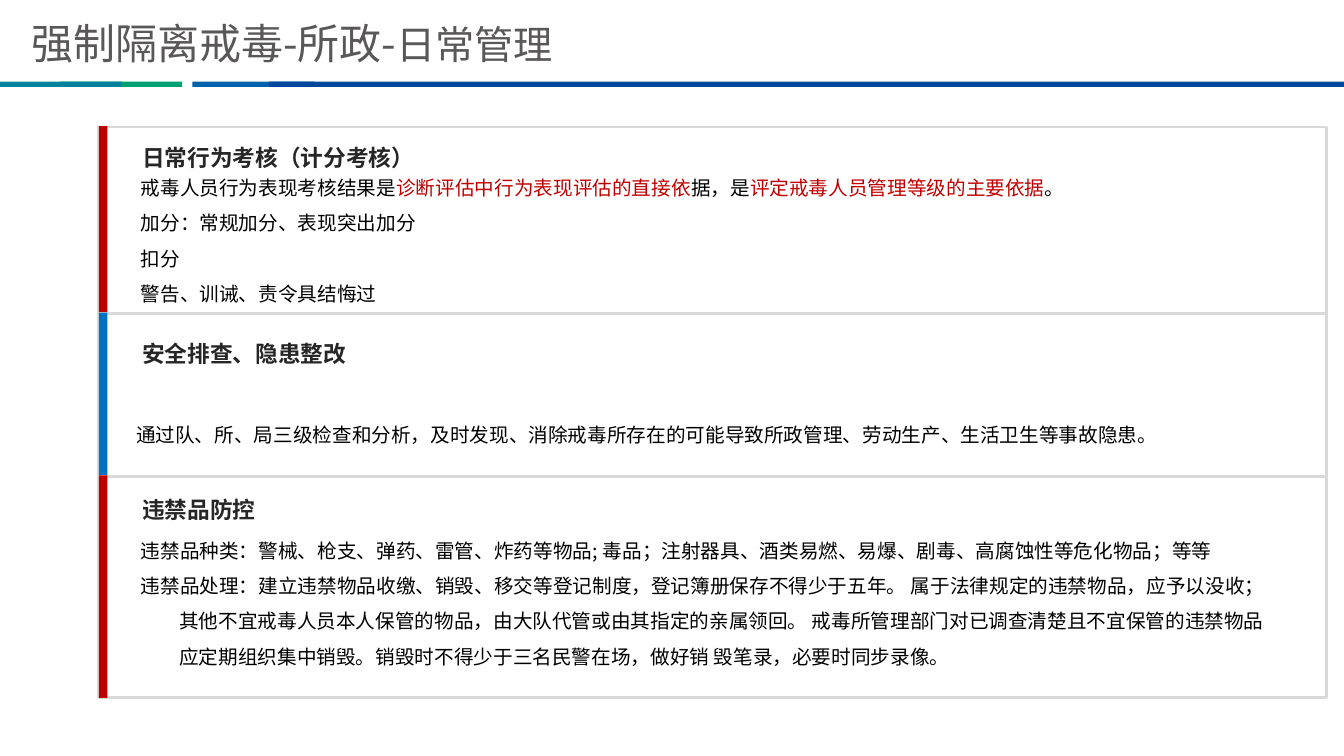
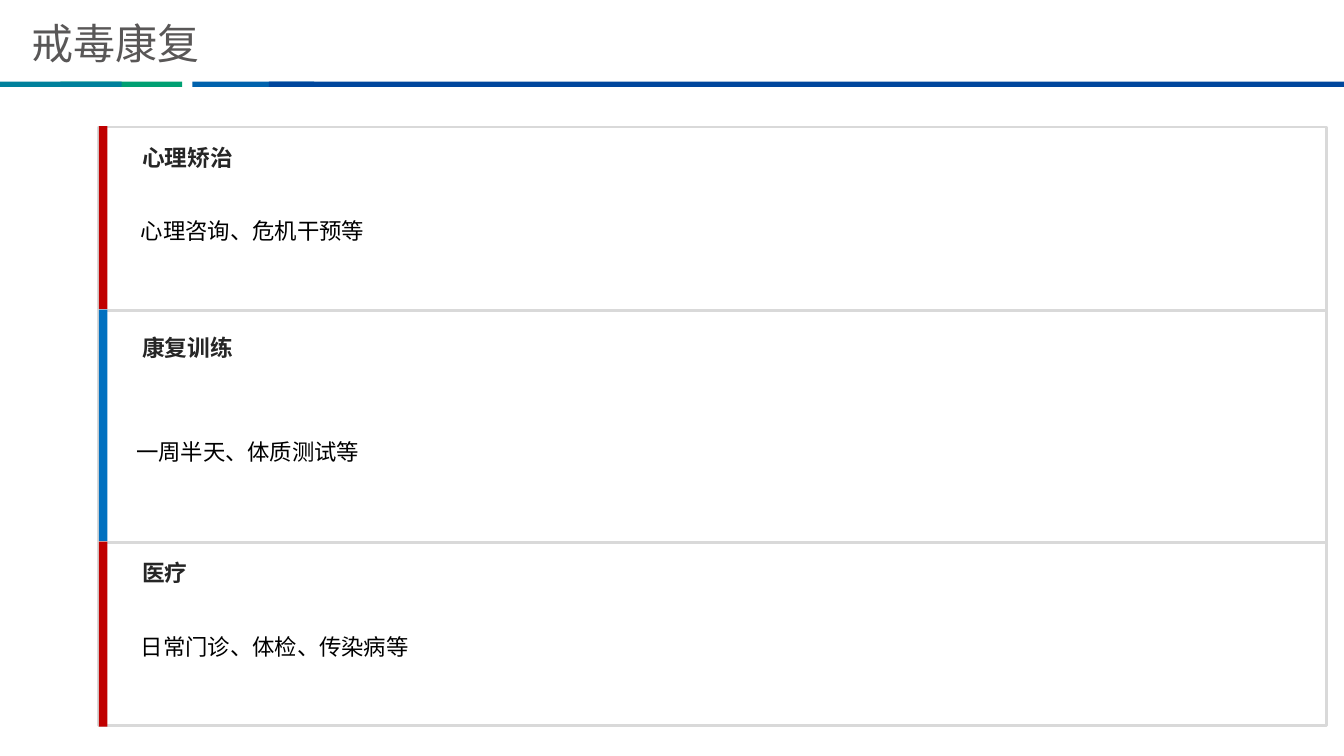
"""Build two slides on daily management and rehabilitation in compulsory isolation."""
from dataclasses import dataclass
from itertools import cycle

from lxml.etree import SubElement
from pptx import Presentation
from pptx.dml.color import RGBColor
from pptx.enum.shapes import MSO_SHAPE, PP_PLACEHOLDER
from pptx.enum.text import MSO_ANCHOR, MSO_AUTO_SIZE, PP_ALIGN
from pptx.oxml.ns import qn
from pptx.shapes.autoshape import Shape
from pptx.slide import Slide, SlideLayout
from pptx.util import Cm, Pt


@dataclass(frozen=True)
class Theme:
    """Colours, fonts and type sizes of the deck."""
    title: str = "595757"
    heading: str = "262626"
    body: str = "000000"
    red: str = "C00000"
    blue: str = "0070C0"
    panel: str = "FFFFFF"
    border: str = "D9D9D9"
    cjk_font: str = "Noto Sans CJK SC"
    heading_font: str = "Arial"
    title_size: float = 30
    subtitle_size: float = 28
    heading_size: float = 16.2
    body_size: float = 14
    large_body_size: float = 16


THEME = Theme()


@dataclass(frozen=True)
class Span:
    """Stretch of text with its own colour or size."""
    text: str
    color: str
    size: float


@dataclass(frozen=True)
class Band:
    """Coloured piece of the rule below the title."""
    left: float
    width: float
    color: str


@dataclass(frozen=True)
class SectionStyle:
    """Accent colour and body column of a section, in centimetres."""
    accent: str
    body_left: float
    body_width: float


@dataclass(frozen=True)
class Section:
    """Panel with a heading and a body; offsets count from the panel top."""
    heading: str
    body: list[list[Span]]
    height: float
    heading_offset: float
    body_offset: float
    body_height: float


@dataclass(frozen=True)
class Page:
    """Title and stacked sections of one slide."""
    title: list[Span]
    sections: list[Section]


BANDS = [
    Band(1.52, 3.07, "00A073"),
    Band(4.85, 3.07, "0062AD"),
    Band(6.78, 27.09, "00479D"),
    Band(0, 3.07, "00819C"),
]
BAND_TOP, BAND_HEIGHT = 2.06, 0.13
PANEL_LEFT, PANEL_TOP, PANEL_WIDTH = 2.49, 3.2, 30.94
ACCENT_WIDTH, ACCENT_RISE = 0.22, 0.02
HEADING_LEFT, HEADING_WIDTH, HEADING_HEIGHT = 3.33, 21.97, 1.02
HANGING_INDENT = 0.97
SECTION_STYLES = [
    SectionStyle(THEME.red, 3.3, 29.08),
    SectionStyle(THEME.blue, 3.18, 30.28),
]


def plain(text: str, size: float = THEME.body_size) -> list[Span]:
    """Return a body paragraph in one colour."""
    return [Span(text, THEME.body, size)]


def marked(*texts: str) -> list[Span]:
    """Return a body paragraph whose every second part is red."""
    colors = cycle([THEME.body, THEME.red])
    return [Span(text, color, THEME.body_size) for text, color in zip(texts, colors)]


def title_span(text: str, size: float = THEME.title_size) -> Span:
    """Return a title part."""
    return Span(text, THEME.title, size)


PAGES = [
    Page(
        [title_span("强制隔离戒毒-所政-"), title_span("日常管理", THEME.subtitle_size)],
        [
            Section("日常行为考核（计分考核）", [
                marked("戒毒人员行为表现考核结果是", "诊断评估中行为表现评估的直接依",
                       "据，是", "评定戒毒人员管理等级的主要依据", "。"),
                plain("加分：常规加分、表现突出加分"),
                plain("扣分"),
                plain("警告、训诫、责令具结悔过"),
            ], 4.7, 0.25, 1.5, 2.44),
            Section("安全排查、隐患整改", [
                plain("通过队、所、局三级检查和分析，及时发现、消除戒毒所存在的"
                      "可能导致所政管理、劳动生产、生活卫生等事故隐患。"),
            ], 4.1, 0.5, 1.45, 2.92),
            Section("违禁品防控", [
                plain("违禁品种类：警械、枪支、弹药、雷管、炸药等物品; 毒品；"
                      "注射器具、酒类易燃、易爆、剧毒、高腐蚀性等危化物品；等等"),
                plain("违禁品处理：建立违禁物品收缴、销毁、移交等登记制度，"
                      "登记簿册保存不得少于五年。 属于法律规定的违禁物品，应予以没收；"
                      "其他不宜戒毒人员本人保管的物品，由大队代管或由其指定的亲属领回。 "
                      "戒毒所管理部门对已调查清楚且不宜保管的违禁物品应定期组织集中销毁。"
                      "销毁时不得少于三名民警在场，做好销 毁笔录，必要时同步录像。"),
            ], 5.57, 0.33, 1.03, 4.06),
        ],
    ),
    Page(
        [title_span("戒毒康复")],
        [
            Section("心理矫治", [plain("心理咨询、危机干预等", THEME.large_body_size)],
                    4.62, 0.25, 1.27, 2.36),
            Section("康复训练", [plain("一周半天、体质测试等", THEME.large_body_size)],
                    5.85, 0.43, 1.45, 3.86),
            Section("医疗", [plain("日常门诊、体检、传染病等", THEME.large_body_size)],
                    4.62, 0.25, 1.27, 2.36),
        ],
    ),
]


def write_spans(paragraph, spans: list[Span], font_name: str, bold: bool = False) -> None:
    """Fill a paragraph with formatted runs."""
    for span in spans:
        run = paragraph.add_run()
        run.text = span.text
        run.font.size = Pt(span.size)
        run.font.bold = bold
        run.font.color.rgb = RGBColor.from_string(span.color)
        run.font.name = font_name
        east_asian = SubElement(run.font._element, qn("a:ea"))
        east_asian.set("typeface", THEME.cjk_font)


def add_block(slide: Slide, left: float, top: float, width: float, height: float,
              color: str) -> Shape:
    """Draw a flat rectangle without an outline."""
    block = slide.shapes.add_shape(
        MSO_SHAPE.RECTANGLE, Cm(left), Cm(top), Cm(width), Cm(height))
    block.shadow.inherit = False
    block.fill.solid()
    block.fill.fore_color.rgb = RGBColor.from_string(color)
    block.line.fill.background()
    return block


def add_text(slide: Slide, left: float, top: float, width: float, height: float):
    """Add a wrapping, vertically centred text box and return its frame."""
    frame = slide.shapes.add_textbox(Cm(left), Cm(top), Cm(width), Cm(height)).text_frame
    frame.word_wrap = True
    frame.vertical_anchor = MSO_ANCHOR.MIDDLE
    return frame


def add_section(slide: Slide, section: Section, style: SectionStyle, top: float) -> None:
    """Draw a panel with its heading, body and accent bar."""
    panel = add_block(slide, PANEL_LEFT, top, PANEL_WIDTH, section.height, THEME.panel)
    panel.line.color.rgb = RGBColor.from_string(THEME.border)
    panel.line.width = Pt(2)

    heading = add_text(slide, HEADING_LEFT, top + section.heading_offset,
                       HEADING_WIDTH, HEADING_HEIGHT)
    heading_span = Span(section.heading, THEME.heading, THEME.heading_size)
    write_spans(heading.paragraphs[0], [heading_span], THEME.heading_font, bold=True)

    body = add_text(slide, style.body_left, top + section.body_offset,
                    style.body_width, section.body_height)
    for index, spans in enumerate(section.body):
        paragraph = body.add_paragraph() if index else body.paragraphs[0]
        properties = paragraph._p.get_or_add_pPr()
        properties.set("marL", str(Cm(HANGING_INDENT)))
        properties.set("indent", str(-Cm(HANGING_INDENT)))
        paragraph.line_spacing = 1.5
        write_spans(paragraph, spans, THEME.cjk_font)

    add_block(slide, PANEL_LEFT, top - ACCENT_RISE, ACCENT_WIDTH,
              section.height + 2 * ACCENT_RISE, style.accent)


def prepare_layout(layout: SlideLayout) -> None:
    """Keep only the title placeholder and set its place."""
    for placeholder in list(layout.placeholders):
        if placeholder.placeholder_format.type != PP_PLACEHOLDER.TITLE:
            layout.shapes.element.remove(placeholder.element)
            continue
        placeholder.left, placeholder.top = Cm(0.53), Cm(0.38)
        placeholder.width, placeholder.height = Cm(15.19), Cm(1.37)


def add_layout_bands(slide: Slide) -> None:
    """Draw the title rule and move it to the shared layout."""
    bands = [add_block(slide, band.left, BAND_TOP, band.width, BAND_HEIGHT, band.color)
             for band in BANDS]
    for band in bands:
        slide.slide_layout.shapes.element.append(band.element)


def add_title(slide: Slide, spans: list[Span]) -> None:
    """Fill the title placeholder."""
    frame = slide.shapes.title.text_frame
    frame.auto_size = MSO_AUTO_SIZE.NONE
    frame.vertical_anchor = MSO_ANCHOR.MIDDLE
    frame.paragraphs[0].alignment = PP_ALIGN.LEFT
    write_spans(frame.paragraphs[0], spans, THEME.cjk_font)


def main() -> None:
    """Build and save the deck."""
    presentation = Presentation()
    presentation.slide_width, presentation.slide_height = Cm(33.87), Cm(19.05)
    layout = presentation.slide_layouts.get_by_name("Title Only")
    prepare_layout(layout)
    for number, page in enumerate(PAGES):
        slide = presentation.slides.add_slide(layout)
        if number == 0:
            add_layout_bands(slide)
        add_title(slide, page.title)
        top = PANEL_TOP
        for section, style in zip(page.sections, cycle(SECTION_STYLES)):
            add_section(slide, section, style, top)
            top += section.height
    presentation.save("out.pptx")


if __name__ == "__main__":
    main()
